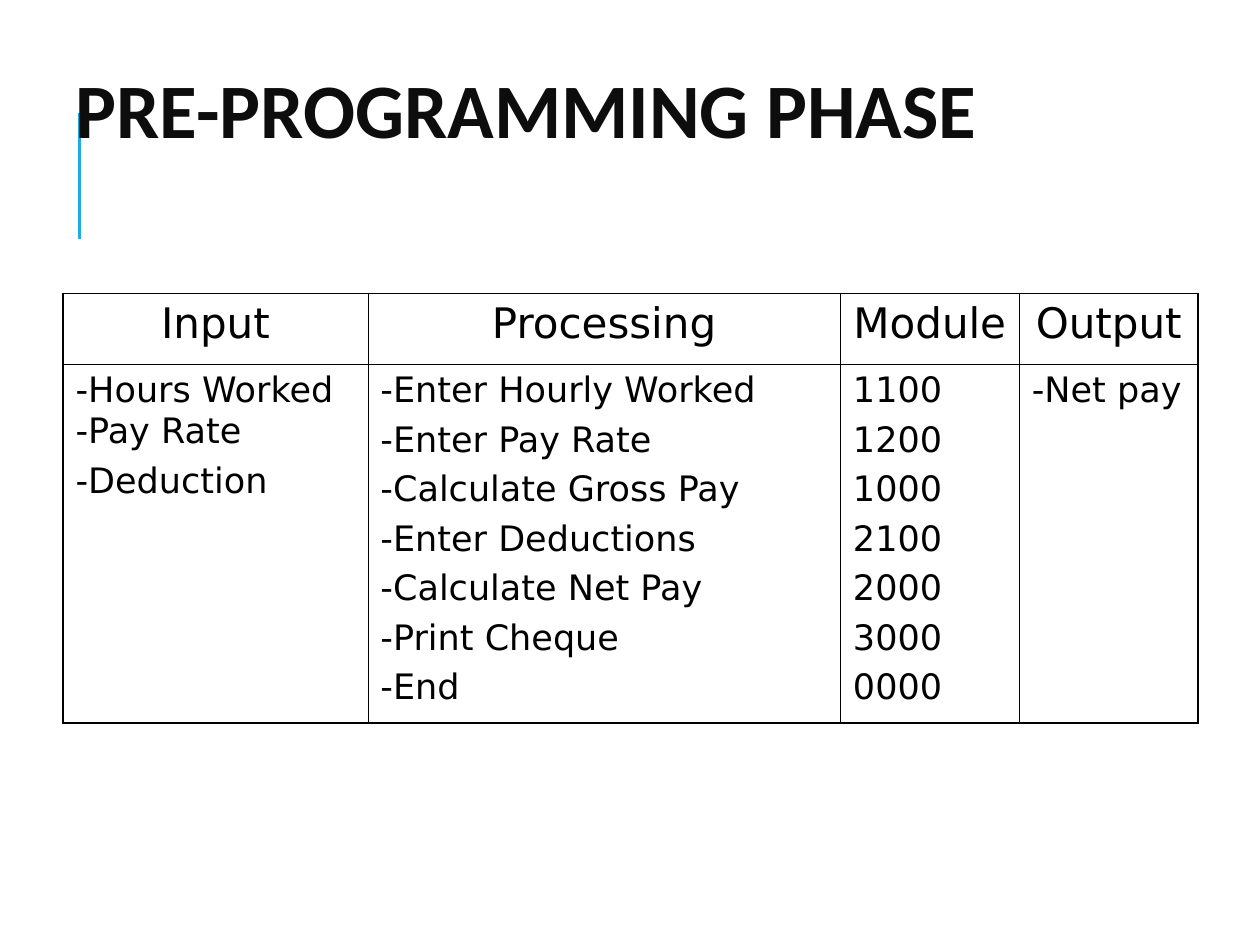
import pptx
import pptx.util
import pptx.dml.color
import pptx.enum.shapes
import pptx.enum.text
import pptx.oxml
import pptx.oxml.ns

Inches, Pt = pptx.util.Inches, pptx.util.Pt
ALIGN = pptx.enum.text.PP_ALIGN

COLORS = {"accent": "1CADE4", "title": "0D0D0D", "text": "000000"}
TITLE_FONT = {"name": "Calibri", "size": Pt(44), "bold": True}
HEADER_FONT = {"name": "DejaVu Sans", "size": Pt(24), "bold": False}
BODY_FONT = {"name": "DejaVu Sans", "size": Pt(20), "bold": False}
OUTER, INNER = 1.08, 0.45

COLUMN_WIDTHS = [2.42, 3.75, 1.42, 1.42]
ROW_HEIGHTS = [0.56, 2.85]
HEADERS = ["Input", "Processing", "Module", "Output"]
BODY = [
    ["-Hours Worked -Pay Rate", "-Deduction"],
    ["-Enter Hourly Worked", "-Enter Pay Rate", "-Calculate Gross Pay",
     "-Enter Deductions", "-Calculate Net Pay", "-Print Cheque", "-End"],
    ["1100", "1200", "1000", "2100", "2000", "3000", "0000"],
    ["-Net pay"],
]


def rgb(name):
    return pptx.dml.color.RGBColor.from_string(COLORS[name])


def format_font(font, values, color):
    for key, value in values.items():
        setattr(font, key, value)
    font.color.rgb = rgb(color)


def add_title(s, text):
    sp = s.shapes.title
    sp.left, sp.top, sp.width, sp.height = map(Inches, (0.5, 0.3, 9, 1.25))
    tf = sp.text_frame
    tf.text = text
    tf.vertical_anchor = pptx.enum.text.MSO_ANCHOR.MIDDLE
    p = tf.paragraphs[0]
    p.alignment, p.line_spacing = ALIGN.LEFT, 0.8
    format_font(p.runs[0].font, TITLE_FONT, "title")


def add_accent_line(s):
    """Add the vertical rule behind the title."""
    sp = s.shapes.add_connector(
        pptx.enum.shapes.MSO_CONNECTOR.STRAIGHT,
        Inches(0.63), Inches(1.9), Inches(0.63), Inches(0.9))
    sp.line.color.rgb = rgb("accent")
    sp.line.width = Pt(1.5)
    sp._element.spPr.append(pptx.oxml.parse_xml(
        f'<a:effectLst {pptx.oxml.ns.nsdecls("a")}/>'))
    s.shapes._spTree.insert(2, sp._element)


def set_borders(cell, widths):
    tc_pr = cell._tc.get_or_add_tcPr()
    for side, width in widths.items():
        tc_pr.append(pptx.oxml.parse_xml(
            f'<a:ln{side} {pptx.oxml.ns.nsdecls("a")} w="{int(Pt(width))}">'
            f'<a:solidFill><a:srgbClr val="{COLORS["text"]}"/></a:solidFill>'
            f'</a:ln{side}>'))


def fill_cell(cell, lines, font, align, space):
    tf = cell.text_frame
    tf.text = "\n".join(lines)
    for i, p in enumerate(tf.paragraphs):
        p.alignment = align
        p.space_before = Pt(space if i else 0)
        format_font(p.runs[0].font, font, "text")


def add_phase_table(s):
    rows = [[[header] for header in HEADERS], BODY]
    last_row, last_col = len(rows) - 1, len(HEADERS) - 1
    table = s.shapes.add_table(
        len(rows), len(HEADERS), Inches(0.5), Inches(2.33),
        Inches(sum(COLUMN_WIDTHS)), Inches(sum(ROW_HEIGHTS))).table
    table.first_row = table.horz_banding = False
    for column, width in zip(table.columns, COLUMN_WIDTHS):
        column.width = Inches(width)
    for row, height in zip(table.rows, ROW_HEIGHTS):
        row.height = Inches(height)

    styles = [(HEADER_FONT, ALIGN.CENTER, 0), (BODY_FONT, ALIGN.LEFT, 5)]
    for r, (row, style) in enumerate(zip(rows, styles)):
        for c, lines in enumerate(row):
            cell = table.cell(r, c)
            fill_cell(cell, lines, *style)
            set_borders(cell, {
                "L": OUTER if c == 0 else INNER,
                "R": OUTER if c == last_col else INNER,
                "T": OUTER if r == 0 else INNER,
                "B": OUTER if r == last_row else INNER,
            })
            cell.fill.background()


def main():
    prs = pptx.Presentation()
    prs.slide_width, prs.slide_height = Inches(10), Inches(7.5)
    s = prs.slides.add_slide(prs.slide_layouts[5])
    add_accent_line(s)
    add_title(s, "PRE-PROGRAMMING PHASE")
    add_phase_table(s)
    prs.save("out.pptx")


if __name__ == "__main__":
    main()
